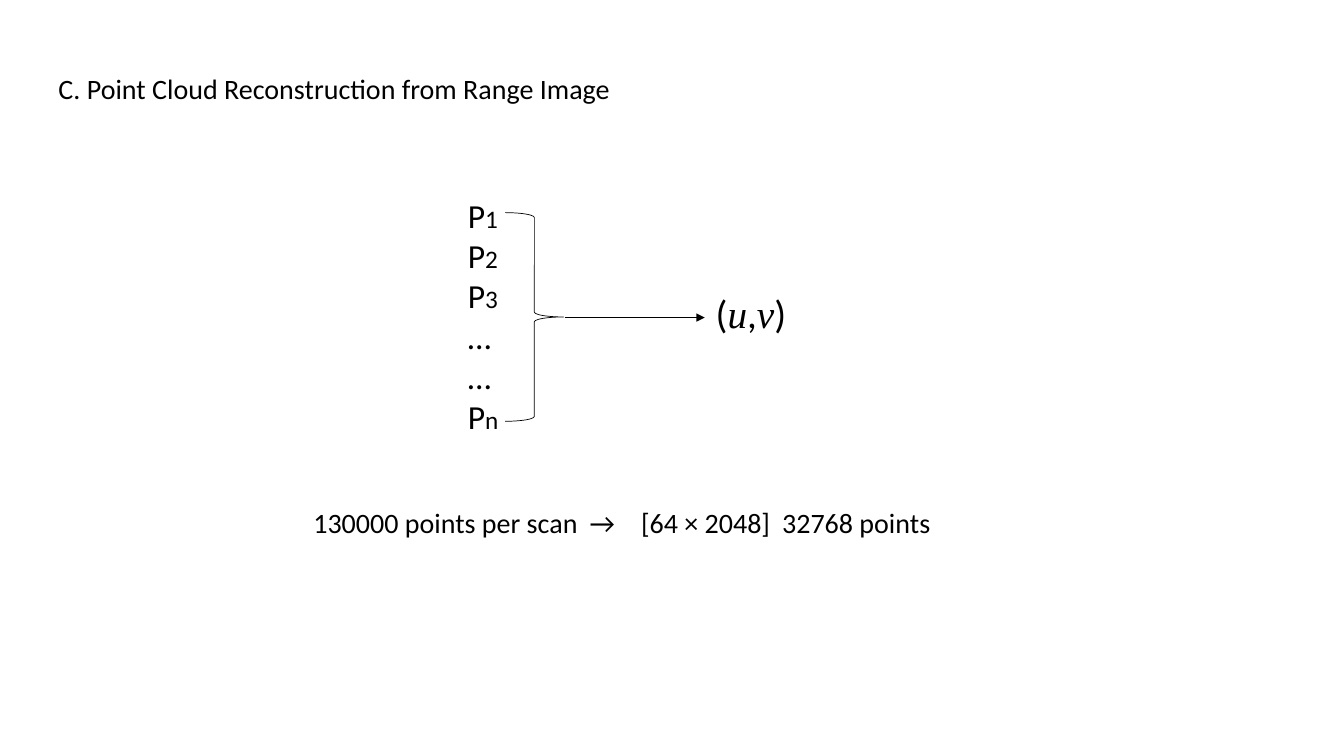
from dataclasses import dataclass

from lxml.etree import SubElement
from pptx import Presentation
from pptx.dml.color import RGBColor
from pptx.enum.shapes import MSO_CONNECTOR as Connector, MSO_SHAPE as Shape
from pptx.enum.text import MSO_ANCHOR as Anchor, MSO_AUTO_SIZE as AutoSize, PP_ALIGN as Align
from pptx.oxml.ns import qn
from pptx.util import Inches, Pt


@dataclass(frozen=True)
class Theme:
    ink: RGBColor = RGBColor(0, 0, 0)
    font: str = "Calibri"
    math_font: str = "Times New Roman"
    text: int = 20
    point: int = 24
    index: int = 18
    pixel: int = 28
    brace_line: float = 0.5
    arrow_line: float = 1


@dataclass(frozen=True)
class Span:
    text: str
    size: int
    math: bool = False


@dataclass(frozen=True)
class Box:
    left: float
    top: float
    width: float
    height: float

    def lengths(self) -> tuple:
        return tuple(Inches(v) for v in (self.left, self.top, self.width, self.height))


THEME = Theme()


def fill_text(holder, box: Box, lines: list[list[Span]]) -> None:
    """Place a text holder and write its lines run by run."""
    holder.left, holder.top, holder.width, holder.height = box.lengths()
    frame = holder.text_frame
    frame.word_wrap = True
    frame.auto_size = AutoSize.NONE
    frame.vertical_anchor = Anchor.TOP
    for number, spans in enumerate(lines):
        paragraph = frame.add_paragraph() if number else frame.paragraphs[0]
        paragraph.alignment = Align.LEFT
        paragraph.space_before = Pt(0)
        for span in spans:
            run = paragraph.add_run()
            run.text = span.text
            run.font.size = Pt(span.size)
            run.font.name = THEME.math_font if span.math else THEME.font
            run.font.italic = span.math
            run.font.color.rgb = THEME.ink


def remove_bullets(holder) -> None:
    for paragraph in holder.text_frame.paragraphs:
        properties = paragraph._p.get_or_add_pPr()
        properties.set("marL", "0")
        properties.set("indent", "0")
        SubElement(properties, qn("a:buNone"))


def set_tabs(holder, stops: list[float]) -> None:
    properties = holder.text_frame.paragraphs[0]._p.get_or_add_pPr()
    tabs = SubElement(properties, qn("a:tabLst"))
    for stop in stops:
        SubElement(tabs, qn("a:tab"), pos=str(Inches(stop)), algn="l")


def add_arrow(slide, left: float, right: float, y: float) -> None:
    arrow = slide.shapes.add_connector(
        Connector.STRAIGHT, Inches(left), Inches(y), Inches(right), Inches(y))
    arrow.line.color.rgb = THEME.ink
    arrow.line.width = Pt(THEME.arrow_line)
    SubElement(arrow.line._get_or_add_ln(), qn("a:tailEnd"), type="triangle")
    SubElement(arrow._element.spPr, qn("a:effectLst"))


def add_brace(slide, box: Box) -> None:
    brace = slide.shapes.add_shape(Shape.RIGHT_BRACE, *box.lengths())
    brace.shadow.inherit = False
    brace.fill.background()
    brace.line.color.rgb = THEME.ink
    brace.line.width = Pt(THEME.brace_line)


def add_text(slide, box: Box, spans: list[Span]):
    label = slide.shapes.add_textbox(*box.lengths())
    fill_text(label, box, [spans])
    return label


def main() -> None:
    deck = Presentation()
    deck.slide_width, deck.slide_height = Inches(13.33), Inches(7.5)
    slide = deck.slides.add_slide(deck.slide_layouts[1])

    # Heading
    fill_text(slide.shapes.title, Box(0.48, 0.66, 5.85, 0.44),
              [[Span("C. Point Cloud Reconstruction from Range Image", THEME.text)]])

    # Scanned points; the dots wrap onto two lines
    def point(index: str) -> list[Span]:
        return [Span("P", THEME.point), Span(index, THEME.index)]

    points = slide.placeholders[1]
    fill_text(points, Box(4.54, 1.88, 0.58, 2.52),
              [*map(point, "123"), [Span("……", THEME.point)], point("n")])
    remove_bullets(points)

    # Mapping from the points to one pixel
    brace = Box(5.01, 2.11, 0.58, 2.07)
    add_arrow(slide, 5.6, 6.99, 3.15)
    add_brace(slide, brace)
    add_text(slide, Box(7, 2.82, 1.01, 0.57),
             [Span(mark, THEME.pixel, mark.isalpha()) for mark in "(u,v)"])

    # Point counts before and after
    counts = add_text(slide, Box(3.01, 4.97, 6.57, 0.44),
                      [Span("130000 points per scan\t→\t[64 × 2048]\t32768 points", THEME.text)])
    set_tabs(counts, [2.74, 3.25, 4.65])

    deck.save("out.pptx")


if __name__ == "__main__":
    main()
